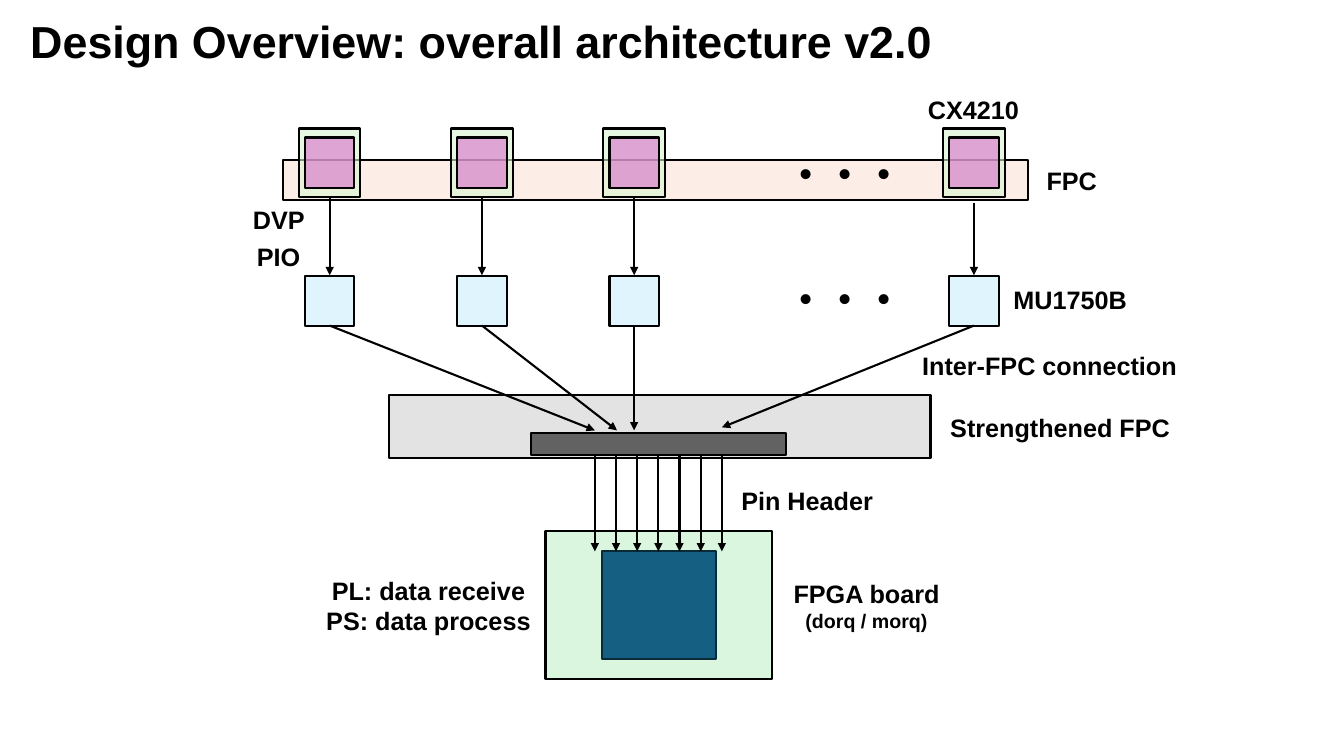
from typing import NamedTuple

from lxml.etree import SubElement
from pptx import Presentation
from pptx.dml.color import RGBColor
from pptx.enum.shapes import MSO_CONNECTOR, MSO_SHAPE
from pptx.enum.text import MSO_ANCHOR, MSO_AUTO_SIZE, PP_ALIGN
from pptx.oxml.ns import qn
from pptx.util import Emu, Inches, Pt

SLIDE_WIDTH, SLIDE_HEIGHT = Inches(13.33), Inches(7.5)
COLUMNS, ROWS = 133.3, 75
COLUMN, ROW = SLIDE_WIDTH / COLUMNS, SLIDE_HEIGHT / ROWS

BLACK = RGBColor(0x00, 0x00, 0x00)
BOARD_GREEN = RGBColor(0xC2, 0xF1, 0xC8)
FPGA_BLUE = RGBColor(0x15, 0x60, 0x82)
FPGA_EDGE = RGBColor(0x09, 0x2A, 0x39)
FPC_PEACH = RGBColor(0xFB, 0xE3, 0xD6)
CAMERA_GREEN = RGBColor(0xD9, 0xF2, 0xD0)
LENS_PINK = RGBColor(0xD8, 0x6E, 0xCC)
CHIP_BLUE = RGBColor(0xCA, 0xEE, 0xFB)
STIFFENER_GREY = RGBColor(0xD1, 0xD1, 0xD1)
HEADER_BLACK = RGBColor(0x0D, 0x0D, 0x0D)

LABEL_FONT, DOTS_FONT = "Arial", "Noto Sans CJK SC"
LINE_WIDTH = Pt(1.5)
CAMERA_ROW, CHIP_ROW = 16.15, 29.85
PIN_COUNT, FIRST_PIN, PIN_PITCH = 7, 59, 2.1
HEADER_BOTTOM, FPGA_TOP = 45.1, 54.7


class Box(NamedTuple):
    """Left and top, then width and height, in columns and rows."""
    left: float
    top: float
    width: float
    height: float

    def lengths(self) -> tuple[Emu, Emu, Emu, Emu]:
        return (Emu(round(self.left * COLUMN)), Emu(round(self.top * ROW)),
                Emu(round(self.width * COLUMN)), Emu(round(self.height * ROW)))


class Point(NamedTuple):
    column: float
    row: float


class Channel(NamedTuple):
    """One camera with its chip, and where their arrows start and end."""
    column: float
    camera_arrow_row: float
    header_point: Point


class Label(NamedTuple):
    box: Box
    lines: tuple[str, ...]
    sizes: tuple[int, ...] = (18,)
    align: PP_ALIGN = PP_ALIGN.CENTER
    font: str = LABEL_FONT


CHANNELS = (
    Channel(32.7, 19.6, Point(59, 42.7)),
    Channel(47.8, 19.6, Point(61.2, 42.7)),
    Channel(62.9, 19.6, Point(62.9, 42.7)),
    Channel(96.6, 20.1, Point(71.6, 42.4)),
)

LABELS = (
    *(Label(Box(77, row, 13.9, 5.7), ("···",), (28,), PP_ALIGN.LEFT, DOTS_FONT)
      for row in (14.4, 26.8)),
    Label(Box(24.1, 19.8, 9.3, 4), ("DVP",), align=PP_ALIGN.LEFT),
    Label(Box(24.5, 23.4, 9.3, 4), ("PIO",), align=PP_ALIGN.LEFT),
    Label(Box(89, 8.9, 15.1, 4), ("CX4210",)),
    Label(Box(102.1, 15.9, 8.4, 4), ("FPC",)),
    Label(Box(98.6, 27.7, 15.1, 4), ("MU1750B",)),
    Label(Box(89.9, 34.3, 28.4, 4), ("Inter-FPC connection",)),
    Label(Box(90.5, 40.4, 29.3, 4), ("Strengthened FPC",)),
    Label(Box(72.5, 47.7, 15.1, 4), ("Pin Header",)),
    Label(Box(75.1, 56.9, 21.7, 6.4), ("FPGA board", "(dorq / morq)"), (18, 14)),
    Label(Box(29.6, 56.6, 25.8, 7.1), ("PL: data receive", "PS: data process"), (18, 18)),
)


def centred_box(column: float, row: float, width: float, height: float) -> Box:
    return Box(column - width / 2, row - height / 2, width, height)


def add_block(slide, box: Box, fill: RGBColor, edge: RGBColor = BLACK,
              opacity: int = 60) -> None:
    """Add a rectangle; opacity is in percent."""
    shape = slide.shapes.add_shape(MSO_SHAPE.RECTANGLE, *box.lengths())
    shape.shadow.inherit = False
    shape.fill.solid()
    shape.fill.fore_color.rgb = fill
    if opacity < 100:
        colour = shape.fill._xPr.find(qn("a:solidFill"))[0]
        SubElement(colour, qn("a:alpha"), val=str(opacity * 1000))
    shape.line.color.rgb = edge
    shape.line.width = LINE_WIDTH


def add_arrow(slide, start: Point, end: Point) -> None:
    ends = (Emu(round(length)) for point in (start, end)
            for length in (point.column * COLUMN, point.row * ROW))
    connector = slide.shapes.add_connector(MSO_CONNECTOR.STRAIGHT, *ends)
    connector.line.color.rgb = BLACK
    connector.line.width = LINE_WIDTH
    SubElement(connector.line._get_or_add_ln(), qn("a:tailEnd"), type="triangle")
    SubElement(connector._element.spPr, qn("a:effectLst"))


def write_text(shape, lines: tuple[str, ...], *, sizes: tuple[int, ...],
               align: PP_ALIGN = PP_ALIGN.LEFT, font: str = LABEL_FONT) -> None:
    """Fill a text frame with one bold paragraph for each line."""
    frame = shape.text_frame
    frame.word_wrap = True
    frame.auto_size = MSO_AUTO_SIZE.SHAPE_TO_FIT_TEXT
    frame.vertical_anchor = MSO_ANCHOR.TOP
    frame.text = "\n".join(lines)
    for paragraph, size in zip(frame.paragraphs, sizes):
        paragraph.alignment = align
        run = paragraph.runs[0]
        run.font.name = font
        run.font.size = Pt(size)
        run.font.bold = True
        run.font.color.rgb = BLACK
        SubElement(run.font._element, qn("a:ea"), typeface=font)


def add_title(slide, text: str) -> None:
    title = slide.shapes.title
    title.left, title.top, title.width, title.height = Box(2, 0.9, 97.8, 6.4).lengths()
    write_text(title, (text,), sizes=(32,))


def add_channel(slide, channel: Channel) -> None:
    column = channel.column
    add_block(slide, centred_box(column, CAMERA_ROW, 6.1, 6.8), CAMERA_GREEN)
    add_block(slide, centred_box(column, CAMERA_ROW, 4.9, 5), LENS_PINK)
    add_block(slide, centred_box(column, CHIP_ROW, 4.9, 5), CHIP_BLUE)
    add_arrow(slide, Point(column, channel.camera_arrow_row), Point(column, 27.3))
    add_arrow(slide, Point(column, 32.3), channel.header_point)


def main() -> None:
    presentation = Presentation()
    presentation.slide_width, presentation.slide_height = SLIDE_WIDTH, SLIDE_HEIGHT
    slide = presentation.slides.add_slide(presentation.slide_layouts[5])
    add_title(slide, "Design Overview: overall architecture v2.0")

    add_block(slide, Box(54.1, 52.7, 22.5, 14.7), BOARD_GREEN)
    add_block(slide, Box(59.7, FPGA_TOP, 11.3, 10.7), FPGA_BLUE, FPGA_EDGE, opacity=100)
    add_block(slide, Box(28.05, 15.85, 73.9, 4), FPC_PEACH)
    add_block(slide, Box(38.6, 39.2, 53.7, 6.2), STIFFENER_GREY)
    add_block(slide, Box(52.7, 43, 25.3, 2.1), HEADER_BLACK)

    for channel in CHANNELS:
        add_channel(slide, channel)
    for pin in range(PIN_COUNT):
        column = FIRST_PIN + pin * PIN_PITCH
        add_arrow(slide, Point(column, HEADER_BOTTOM), Point(column, FPGA_TOP))
    for label in LABELS:
        text_box = slide.shapes.add_textbox(*label.box.lengths())
        write_text(text_box, label.lines, sizes=label.sizes, align=label.align,
                   font=label.font)

    presentation.save("out.pptx")


if __name__ == "__main__":
    main()
